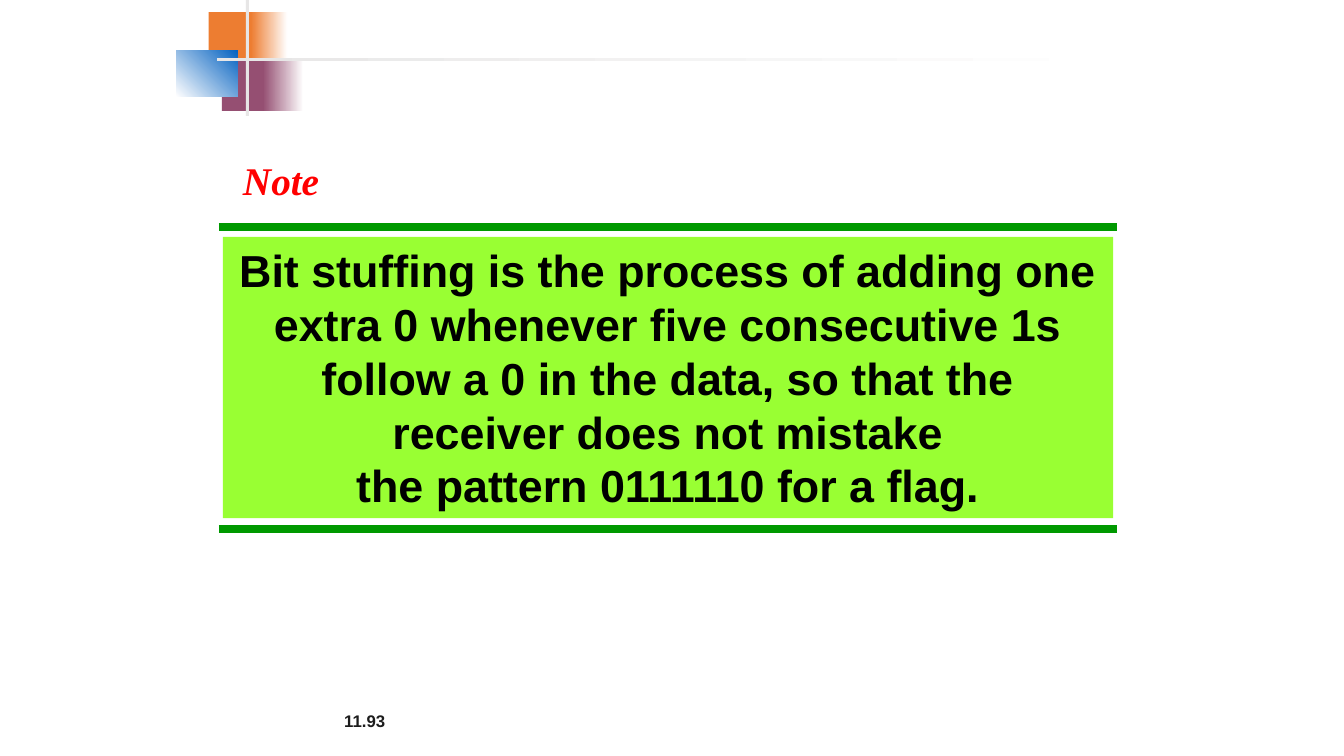
from dataclasses import dataclass
from typing import Optional

from lxml import etree
from pptx import Presentation
from pptx import util as u
from pptx.dml.color import RGBColor
from pptx.enum import shapes, text
from pptx.oxml.ns import qn

PX = 9144  # EMU per px, 100 px to the inch
COLOURS = {
    "white": "FFFFFF", "black": "000000", "ink": "1C1C1C", "red": "FF0000",
    "orange": "ED7D31", "plum": "954F72", "blue": "0563C1", "grey": "E7E6E6",
    "green": "009900", "lime": "99FF33",
}


@dataclass
class Block:
    left: int
    top: int
    width: int
    height: int
    colour: str
    fade_to: Optional[str] = None
    angle: int = 0


@dataclass
class Style:
    size: int
    colour: str
    font: str = "Arial"
    italic: bool = False


ORNAMENT = [
    Block(207, 12, 48, 52, "orange"),
    Block(249, 12, 36, 52, "orange", "white"),
    Block(220, 58, 46, 52, "plum"),
    Block(261, 58, 40, 52, "plum", "white"),
    Block(175, 50, 61, 46, "white", "blue", 45),
    Block(244, 0, 3, 115, "grey"),
    Block(215, 58, 900, 3, "grey", "white"),
]
MESSAGE = [
    "Bit stuffing is the process of adding one extra 0 whenever five consecutive 1s "
    "follow a 0 in the data, so that the receiver does not mistake",
    "the pattern 0111110 for a flag.",
]


def px(value: int) -> u.Emu:
    return u.Emu(value * PX)


def rgb(name: str) -> RGBColor:
    return RGBColor.from_string(COLOURS[name])


def draw_block(slide, block: Block):
    shape = slide.shapes.add_shape(
        shapes.MSO_SHAPE.RECTANGLE,
        px(block.left), px(block.top), px(block.width), px(block.height))
    shape.shadow.inherit = False
    shape.line.fill.background()
    if block.fade_to:
        shape.fill.gradient()
        shape.fill.gradient_angle = block.angle
        for stop, name in zip(shape.fill.gradient_stops, (block.colour, block.fade_to)):
            stop.color.rgb = rgb(name)
    else:
        shape.fill.solid()
        shape.fill.fore_color.rgb = rgb(block.colour)
    return shape


def draw_rule(slide, left: int, right: int, y: int) -> None:
    rule = slide.shapes.add_connector(
        shapes.MSO_CONNECTOR.STRAIGHT, px(left), px(y), px(right), px(y))
    rule.line.color.rgb = rgb("green")
    rule.line.width = u.Pt(6)
    etree.SubElement(rule._element.spPr, qn("a:effectLst"))


def write(shape, lines: list[str], style: Style, alignment, wrap: bool = True) -> None:
    frame = shape.text_frame
    frame.word_wrap = wrap
    frame.vertical_anchor = text.MSO_ANCHOR.MIDDLE
    for index, line in enumerate(lines):
        paragraph = frame.add_paragraph() if index else frame.paragraphs[0]
        paragraph.alignment = alignment
        run = paragraph.add_run()
        run.text = line
        run.font.size = u.Pt(style.size)
        run.font.name = style.font
        run.font.bold = True
        run.font.italic = style.italic
        run.font.color.rgb = rgb(style.colour)


def main() -> None:
    presentation = Presentation()
    presentation.slide_width, presentation.slide_height = px(1333), px(750)
    slide = presentation.slides.add_slide(presentation.slide_layouts[5])

    # Heading
    title = slide.shapes.title
    title.left, title.top, title.width, title.height = px(231), px(150), px(96), px(57)
    write(title, ["Note"], Style(28, "red", "Times New Roman", True),
          text.PP_ALIGN.LEFT, wrap=False)
    title.text_frame.auto_size = text.MSO_AUTO_SIZE.NONE

    # Slide number
    number = slide.shapes.add_textbox(px(92), px(695), px(300), px(40))
    write(number, ["11.93"], Style(12, "ink"), text.PP_ALIGN.RIGHT)

    # Corner ornament
    for block in ORNAMENT:
        draw_block(slide, block)

    # Message between two rules
    for y in (225, 525):
        draw_rule(slide, 217, 1108, y)
    panel = draw_block(slide, Block(221, 235, 883, 279, "lime"))
    write(panel, MESSAGE, Style(32, "black"), text.PP_ALIGN.CENTER)

    presentation.save("out.pptx")


if __name__ == "__main__":
    main()
